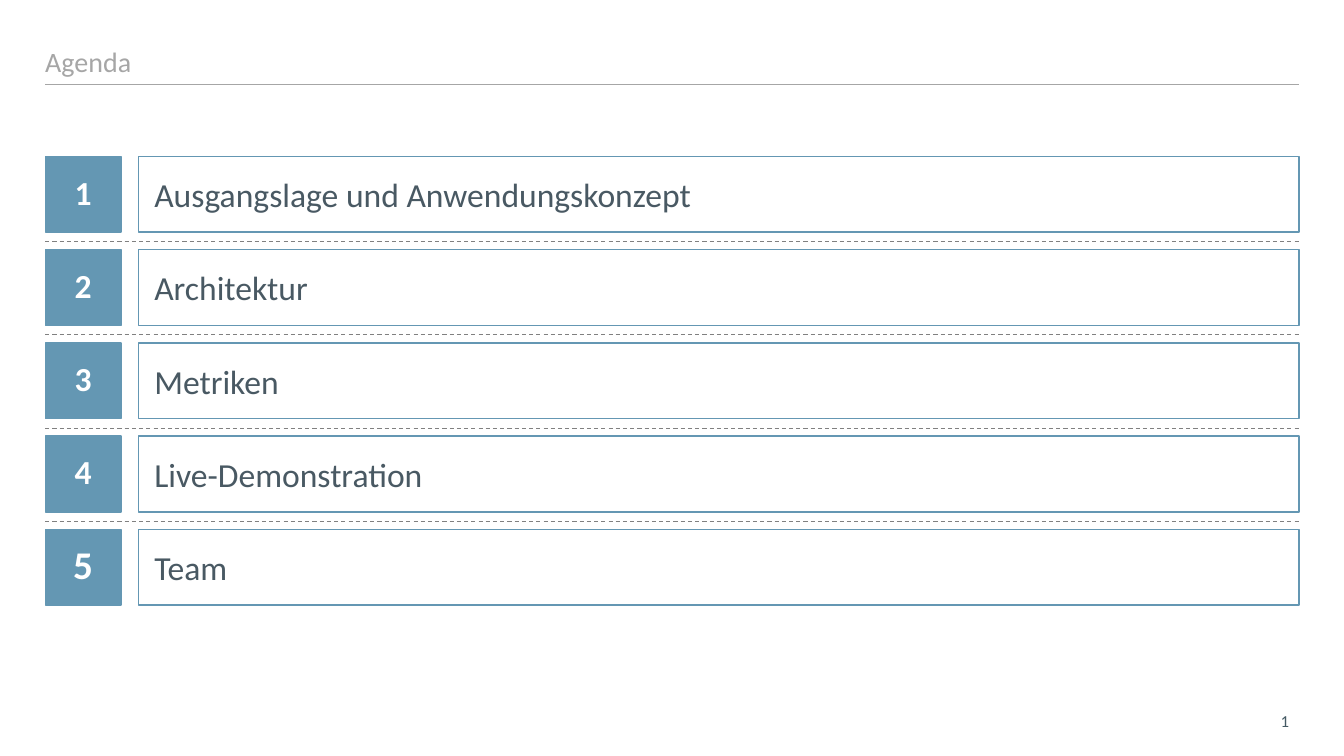
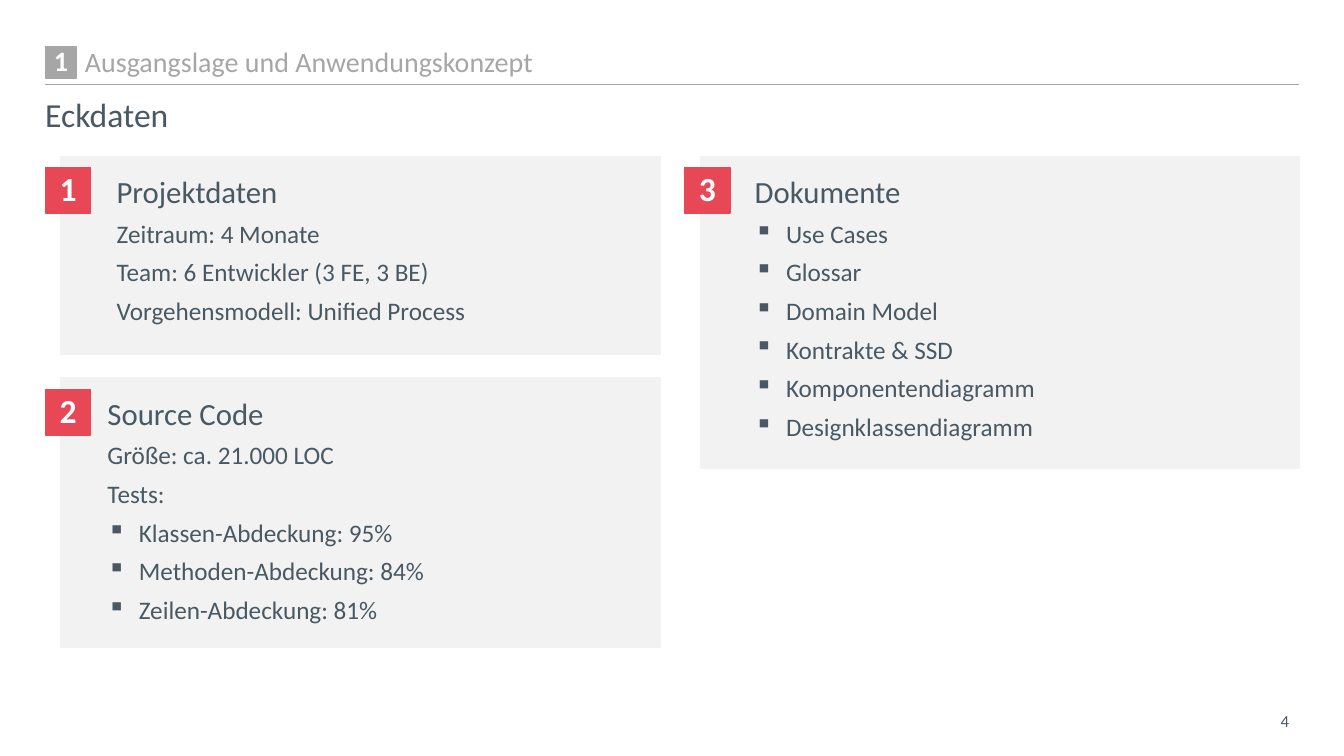
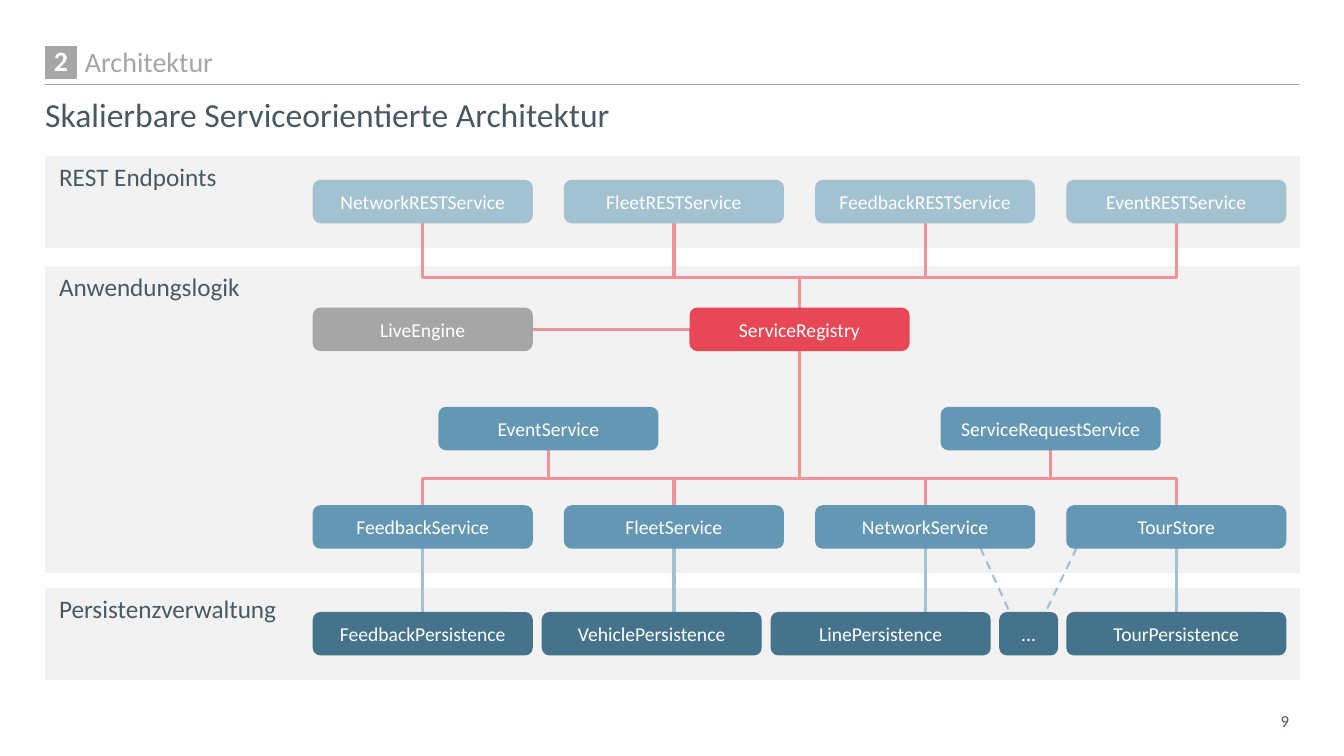
from dataclasses import dataclass

from lxml.etree import SubElement
from pptx import Presentation
from pptx.dml.color import RGBColor
from pptx.enum.dml import MSO_LINE
from pptx.enum.shapes import MSO_CONNECTOR, MSO_SHAPE
from pptx.enum.text import MSO_ANCHOR, PP_ALIGN
from pptx.oxml.ns import qn
from pptx.shapes.autoshape import Shape
from pptx.shapes.connector import Connector
from pptx.slide import Slide
from pptx.util import Cm, Pt

FONT = "Calibri"
WHITE = RGBColor(0xFF, 0xFF, 0xFF)
PALE_GRAY = RGBColor(0xF2, 0xF2, 0xF2)
GRAY = RGBColor(0xA6, 0xA6, 0xA6)
DASH_GRAY = RGBColor(0x80, 0x80, 0x80)
TEXT = RGBColor(0x49, 0x59, 0x63)
PAGE_TEXT = RGBColor(0x45, 0x5A, 0x64)
BLUE = RGBColor(0x64, 0x97, 0xB3)
LIGHT_BLUE = RGBColor(0xA2, 0xC1, 0xD1)
DARK_BLUE = RGBColor(0x45, 0x73, 0x8C)
RED = RGBColor(0xE8, 0x48, 0x55)
LIGHT_RED = RGBColor(0xF1, 0x91, 0x99)

LEFT, RIGHT = 1.14, 32.74
CONTENT_WIDTH = RIGHT - LEFT
CONTENT_TOP = 3.94

NODE_WIDTH, NODE_HEIGHT = 5.51, 1.06
FIRST_COLUMN, COLUMN_PITCH = 7.9, 6.33
PERSISTENCE_PITCH = 5.77
REST_TOP, REGISTRY_TOP, SERVICE_TOP, STORE_TOP, PERSISTENCE_TOP = 4.55, 7.77, 10.27, 12.75, 15.44
REST_BUS, SERVICE_BUS = 6.99, 12.05


@dataclass(frozen=True)
class Box:
    """A rectangle in centimetres."""
    left: float
    top: float
    width: float
    height: float


@dataclass(frozen=True)
class Line:
    text: str
    size: float
    color: RGBColor = TEXT
    bold: bool = False
    alignment: PP_ALIGN = PP_ALIGN.LEFT
    line_spacing: float = 1.0
    space_before: float = 0
    bulleted: bool = False


@dataclass(frozen=True)
class AgendaItem:
    text: str
    number_size: float = 24


@dataclass(frozen=True)
class Card:
    left: float
    top: float
    height: float
    text_offset: float
    heading: str
    facts: tuple[str, ...] = ()
    bullets: tuple[str, ...] = ()


@dataclass(frozen=True)
class Lane:
    label: str
    top: float
    height: float


@dataclass(frozen=True)
class Node:
    text: str
    left: float
    top: float
    color: RGBColor
    width: float = NODE_WIDTH


AGENDA = (
    AgendaItem("Ausgangslage und Anwendungskonzept"),
    AgendaItem("Architektur"),
    AgendaItem("Metriken"),
    AgendaItem("Live-Demonstration"),
    AgendaItem("Team", number_size=28),
)

CARDS = (
    Card(LEFT, CONTENT_TOP, 5, 1.55, "Projektdaten",
         facts=("Zeitraum: 4 Monate", "Team: 6 Entwickler (3 FE, 3 BE)",
                "Vorgehensmodell: Unified Process")),
    Card(LEFT, 9.53, 6.78, 1.32, "Source Code",
         facts=("Größe: ca. 21.000 LOC", "Tests:"),
         bullets=("Klassen-Abdeckung: 95%", "Methoden-Abdeckung: 84%",
                  "Zeilen-Abdeckung: 81%")),
    Card(17.25, CONTENT_TOP, 7.87, 1.52, "Dokumente",
         bullets=("Use Cases", "Glossar", "Domain Model", "Kontrakte & SSD",
                  "Komponentendiagramm", "Designklassendiagramm")),
)

LANES = (
    Lane("REST Endpoints", CONTENT_TOP, 2.29),
    Lane("Anwendungslogik", 6.71, 7.72),
    Lane("Persistenzverwaltung", 14.83, 2.29),
)


def column_left(column: float) -> float:
    return FIRST_COLUMN + column * COLUMN_PITCH


def column_center(column: float) -> float:
    return column_left(column) + NODE_WIDTH / 2


def node_row(names: tuple[str, ...], top: float, color: RGBColor) -> list[Node]:
    return [Node(name, column_left(column), top, color) for column, name in enumerate(names)]


NODES = (
    *node_row(("NetworkRESTService", "FleetRESTService", "FeedbackRESTService",
               "EventRESTService"), REST_TOP, LIGHT_BLUE),
    Node("LiveEngine", column_left(0), REGISTRY_TOP, GRAY),
    Node("ServiceRegistry", column_left(1.5), REGISTRY_TOP, RED),
    Node("EventService", column_left(0.5), SERVICE_TOP, BLUE),
    Node("ServiceRequestService", column_left(2.5), SERVICE_TOP, BLUE),
    *node_row(("FeedbackService", "FleetService", "NetworkService", "TourStore"),
              STORE_TOP, BLUE),
    *(Node(name, FIRST_COLUMN + index * PERSISTENCE_PITCH, PERSISTENCE_TOP, DARK_BLUE)
      for index, name in enumerate(
          ("FeedbackPersistence", "VehiclePersistence", "LinePersistence"))),
    Node("...", 25.2, PERSISTENCE_TOP, DARK_BLUE, width=1.45),
    Node("TourPersistence", column_left(3), PERSISTENCE_TOP, DARK_BLUE),
)


def set_values(target: object, values: dict[str, object]) -> None:
    for name, value in values.items():
        setattr(target, name, value)


def write(shape: Shape, lines: list[Line], anchor: MSO_ANCHOR = MSO_ANCHOR.MIDDLE,
          inset_left: float = 0.25, inset_right: float = 0.25, inset_y: float = 0.13) -> None:
    """Fill a shape with text; the insets are in centimetres."""
    frame = shape.text_frame
    set_values(frame, {
        "word_wrap": True,
        "vertical_anchor": anchor,
        "margin_left": Cm(inset_left),
        "margin_right": Cm(inset_right),
        "margin_top": Cm(inset_y),
        "margin_bottom": Cm(inset_y),
    })
    for index, line in enumerate(lines):
        paragraph = frame.add_paragraph() if index else frame.paragraphs[0]
        set_values(paragraph, {
            "alignment": line.alignment,
            "line_spacing": line.line_spacing,
            "space_before": Pt(line.space_before),
        })
        if line.bulleted:
            properties = paragraph._p.get_or_add_pPr()
            properties.set("marL", str(Cm(0.79)))
            properties.set("indent", str(-Cm(0.79)))
            SubElement(properties, qn("a:buChar")).set("char", "▪")
        run = paragraph.add_run()
        run.text = line.text
        set_values(run.font, {"name": FONT, "size": Pt(line.size), "bold": line.bold})
        run.font.color.rgb = line.color


def add_text(slide: Slide, box: Box) -> Shape:
    return slide.shapes.add_textbox(Cm(box.left), Cm(box.top), Cm(box.width), Cm(box.height))


def add_block(slide: Slide, box: Box, fill: RGBColor, outline: RGBColor | None = None,
              kind: MSO_SHAPE = MSO_SHAPE.RECTANGLE) -> Shape:
    shape = slide.shapes.add_shape(
        kind, Cm(box.left), Cm(box.top), Cm(box.width), Cm(box.height))
    shape.shadow.inherit = False
    shape.fill.solid()
    shape.fill.fore_color.rgb = fill
    shape.line.color.rgb = outline or fill
    shape.line.width = Pt(1)
    return shape


def add_badge(slide: Slide, box: Box, number: int, color: RGBColor, size: float) -> None:
    badge = add_block(slide, box, color)
    label = Line(str(number), size, WHITE, True, PP_ALIGN.CENTER, 0.9)
    write(badge, [label], inset_left=0, inset_right=0, inset_y=0)


def add_line(slide: Slide, start: tuple[float, float], end: tuple[float, float],
             color: RGBColor, width: float, dashed: bool = False,
             kind: MSO_CONNECTOR = MSO_CONNECTOR.STRAIGHT) -> Connector:
    connector = slide.shapes.add_connector(
        kind, Cm(start[0]), Cm(start[1]), Cm(end[0]), Cm(end[1]))
    connector.line.color.rgb = color
    connector.line.width = Pt(width)
    if dashed:
        connector.line.dash_style = MSO_LINE.DASH
    SubElement(connector._element.spPr, qn("a:effectLst"))
    return connector


def add_down_elbow(slide: Slide, start: tuple[float, float], end: tuple[float, float],
                   bus: float) -> None:
    """Go down from start, sideways at height bus, then down to end."""
    (start_x, start_y), (end_x, end_y) = start, end
    center_x, center_y = (start_x + end_x) / 2, (start_y + end_y) / 2
    half_drop, half_span = (end_y - start_y) / 2, abs(end_x - start_x) / 2
    to_right = end_x > start_x
    side = half_drop if to_right else -half_drop
    connector = add_line(
        slide, (center_x + side, center_y - half_span), (center_x - side, center_y + half_span),
        LIGHT_RED, 2.25, kind=MSO_CONNECTOR.ELBOW)
    properties = connector._element.spPr
    properties.find(qn("a:xfrm")).set("rot", str((270 if to_right else 90) * 60000))
    geometry = properties.find(qn("a:prstGeom"))
    adjustments = geometry.find(qn("a:avLst"))
    if adjustments is None:
        adjustments = SubElement(geometry, qn("a:avLst"))
    guide = SubElement(adjustments, qn("a:gd"))
    guide.set("name", "adj1")
    guide.set("fmla", f"val {round((bus - start_y) / (end_y - start_y) * 100000)}")


def add_page(presentation: Presentation, title: str, page: int,
             chapter: int | None = None, subtitle: str | None = None) -> Slide:
    """Add a slide with the shared header, rule and page number."""
    slide = presentation.slides.add_slide(presentation.slide_layouts[6])
    add_line(slide, (LEFT, 2.13), (RIGHT, 2.13), GRAY, 0.75)
    write(add_text(slide, Box(25.12, 17.65, 7.62, 1.02)),
          [Line(str(page), 12, PAGE_TEXT, alignment=PP_ALIGN.RIGHT)])
    write(add_text(slide, Box(LEFT, 1.07, CONTENT_WIDTH, 1.07)),
          [Line(title, 20, GRAY, line_spacing=0.9)],
          inset_left=1 if chapter else 0, inset_right=0)
    if chapter:
        add_badge(slide, Box(LEFT, 1.18, 0.79, 0.79), chapter, GRAY, 20)
    if subtitle:
        write(add_text(slide, Box(LEFT, 2.36, CONTENT_WIDTH, 1.17)),
              [Line(subtitle, 24, line_spacing=0.9)], MSO_ANCHOR.TOP, 0, 0)
    return slide


def add_agenda(presentation: Presentation) -> None:
    slide = add_page(presentation, "Agenda", 1)
    side, pitch, text_left = 1.91, 2.35, 3.49
    for index, item in enumerate(AGENDA):
        top = CONTENT_TOP + index * pitch
        if index:
            add_line(slide, (LEFT, top - 0.2), (RIGHT, top - 0.2), DASH_GRAY, 0.75, True)
        add_badge(slide, Box(LEFT, top, side, side), index + 1, BLUE, item.number_size)
        entry = add_block(slide, Box(text_left, top, RIGHT - text_left, side), WHITE, BLUE)
        write(entry, [Line(item.text, 24)], inset_left=0.4, inset_right=0, inset_y=0)


def add_card(slide: Slide, card: Card, number: int) -> None:
    add_block(slide, Box(card.left + 0.4, card.top, 15.09, card.height), PALE_GRAY)
    inner_top = card.top + 0.28
    add_badge(slide, Box(card.left, inner_top, 1.15, 1.15), number, RED, 24)
    lines = [
        Line(card.heading, 22),
        *(Line(fact, 18, space_before=6) for fact in card.facts),
        *(Line(bullet, 18, space_before=6, bulleted=True) for bullet in card.bullets),
    ]
    box = Box(card.left + card.text_offset, inner_top, 13.94, card.height - 0.7)
    write(add_text(slide, box), lines, MSO_ANCHOR.TOP)


def add_key_data(presentation: Presentation) -> None:
    slide = add_page(presentation, "Ausgangslage und Anwendungskonzept", 4, 1, "Eckdaten")
    for number, card in enumerate(CARDS, 1):
        add_card(slide, card, number)


def add_service_lines(slide: Slide) -> None:
    registry_x = column_center(1.5)
    registry_bottom = REGISTRY_TOP + NODE_HEIGHT
    rest_bottom = REST_TOP + NODE_HEIGHT
    store_bottom = STORE_TOP + NODE_HEIGHT
    for column in (0, 3):
        outer_x = column_center(column)
        add_down_elbow(slide, (outer_x, rest_bottom), (registry_x, REGISTRY_TOP), REST_BUS)
        add_down_elbow(slide, (registry_x, registry_bottom), (outer_x, STORE_TOP), SERVICE_BUS)
    stubs = [
        *((column, rest_bottom, REST_BUS) for column in (1, 2)),
        *((column, SERVICE_TOP + NODE_HEIGHT, SERVICE_BUS) for column in (0.5, 2.5)),
        *((column, SERVICE_BUS, STORE_TOP) for column in (1, 2)),
    ]
    for column, top, bottom in stubs:
        x = column_center(column)
        add_line(slide, (x, top), (x, bottom), LIGHT_RED, 2.25)
    registry_middle = REGISTRY_TOP + NODE_HEIGHT / 2
    add_line(slide, (column_left(0) + NODE_WIDTH, registry_middle),
             (column_left(1.5), registry_middle), LIGHT_RED, 2.25)
    for column in range(4):
        x = column_center(column)
        add_line(slide, (x, store_bottom), (x, PERSISTENCE_TOP), LIGHT_BLUE, 2.25)
    for store_x, persistence_x in ((24.71, 25.45), (27.13, 26.34)):
        add_line(slide, (store_x, store_bottom), (persistence_x, PERSISTENCE_TOP),
                 LIGHT_BLUE, 1.5, True)


def add_architecture(presentation: Presentation) -> None:
    slide = add_page(presentation, "Architektur", 9, 2,
                     "Skalierbare Serviceorientierte Architektur")
    for lane in LANES:
        add_block(slide, Box(LEFT, lane.top, CONTENT_WIDTH, lane.height), PALE_GRAY)
        write(add_text(slide, Box(1.49, lane.top, 6.1, 0.94)),
              [Line(lane.label, 18)], MSO_ANCHOR.TOP, 0, 0)
    add_service_lines(slide)
    for node in NODES:
        shape = add_block(slide, Box(node.left, node.top, node.width, NODE_HEIGHT),
                          node.color, kind=MSO_SHAPE.ROUNDED_RECTANGLE)
        write(shape, [Line(node.text, 14, WHITE, alignment=PP_ALIGN.CENTER)])


def main() -> None:
    presentation = Presentation()
    presentation.slide_width = Cm(33.87)
    presentation.slide_height = Cm(19.05)
    add_agenda(presentation)
    add_key_data(presentation)
    add_architecture(presentation)
    presentation.save("out.pptx")


if __name__ == "__main__":
    main()
